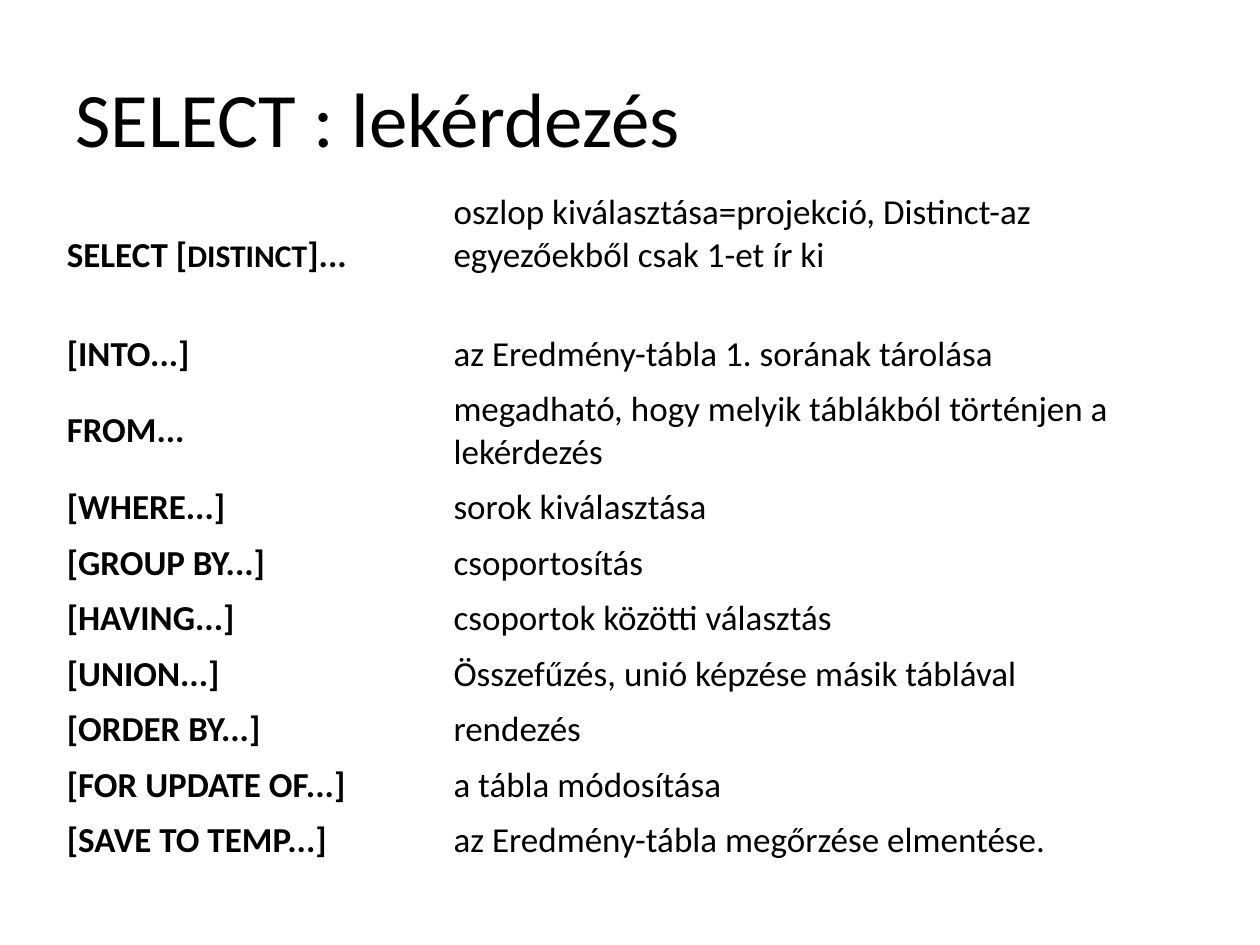
from dataclasses import dataclass
from pptx import Presentation
from pptx.dml.color import RGBColor
from pptx.enum.text import MSO_ANCHOR, PP_ALIGN
from pptx.util import Inches, Pt

INK = {"text": "000000", "back": "FFFFFF"}
FONT = "Calibri"
SIZE = 20
LINE, PAD = 0.34, 0.05  # height of a text line, cell margin
WIDE, HIGH = 10, 7.5
COLS = (3.07, 5.93)


@dataclass
class Clause:
    word: str
    note: str
    lines: int = 1
    anchor: MSO_ANCHOR = MSO_ANCHOR.MIDDLE
    small: str = ""  # part of the word set in a smaller size

    @property
    def height(self) -> float:
        return self.lines * LINE + 2 * PAD


CLAUSES = [
    Clause("SELECT [DISTINCT]...",
           "oszlop kiválasztása=projekció, Distinct-az egyezőekből csak 1-et ír ki",
           3, MSO_ANCHOR.TOP, "DISTINCT"),
    Clause("[INTO...]", "az Eredmény-tábla 1. sorának tárolása"),
    Clause("FROM...", "megadható, hogy melyik táblákból történjen a lekérdezés", 2),
    Clause("[WHERE...]", "sorok kiválasztása"),
    Clause("[GROUP BY...]", "csoportosítás"),
    Clause("[HAVING...]", "csoportok közötti választás"),
    Clause("[UNION...]", "Összefűzés, unió képzése másik táblával"),
    Clause("[ORDER BY...]", "rendezés"),
    Clause("[FOR UPDATE OF...]", "a tábla módosítása"),
    Clause("[SAVE TO TEMP...]", "az Eredmény-tábla megőrzése elmentése."),
]


def style(font, size: float, bold: bool = False) -> None:
    font.name, font.size, font.bold = FONT, Pt(size), bold
    font.color.rgb = RGBColor.from_string(INK["text"])


def fill_cell(cell, text: str, bold: bool, anchor: MSO_ANCHOR, small: str = "") -> None:
    cell.fill.background()
    cell.vertical_anchor = anchor
    cell.margin_top = cell.margin_bottom = Inches(PAD)
    para = cell.text_frame.paragraphs[0]
    style(para.font, SIZE, bold)
    head, part, tail = text.partition(small) if small else (text, "", "")
    for piece in filter(None, (head, part, tail)):
        run = para.add_run()
        run.text = piece
        style(run.font, SIZE - 2 if piece == small else SIZE, bold)


def add_title(slide, text: str) -> None:
    title = slide.shapes.title
    title.left, title.top = Inches(0.05 * WIDE), Inches(0.04 * HIGH)
    title.width, title.height = Inches(0.9 * WIDE), Inches(HIGH / 6)
    frame = title.text_frame
    frame.text = text
    frame.vertical_anchor = MSO_ANCHOR.MIDDLE
    para = frame.paragraphs[0]
    para.alignment = PP_ALIGN.LEFT
    style(para.font, 44)


def add_clauses(slide, clauses: list[Clause]) -> None:
    total = sum(item.height for item in clauses)
    table = slide.shapes.add_table(
        len(clauses), len(COLS), Inches(0.43), Inches(1.47),
        Inches(sum(COLS)), Inches(total)).table
    table.first_row = table.horz_banding = False
    # Plain style without grid lines
    table._tbl.tblPr[0].text = "{2D5ABB26-0587-4C30-8999-92F81FD0307C}"
    for col, width in zip(table.columns, COLS):
        col.width = Inches(width)
    for row, item in zip(table.rows, clauses):
        row.height = Inches(item.height)
        word, note = row.cells
        fill_cell(word, item.word, True, MSO_ANCHOR.MIDDLE, item.small)
        fill_cell(note, item.note, False, item.anchor)


def main() -> None:
    deck = Presentation()
    deck.slide_width, deck.slide_height = Inches(WIDE), Inches(HIGH)
    slide = deck.slides.add_slide(deck.slide_layouts[5])
    back = slide.background.fill
    back.solid()
    back.fore_color.rgb = RGBColor.from_string(INK["back"])
    add_title(slide, "SELECT : lekérdezés")
    add_clauses(slide, CLAUSES)
    deck.save("out.pptx")


if __name__ == "__main__":
    main()
